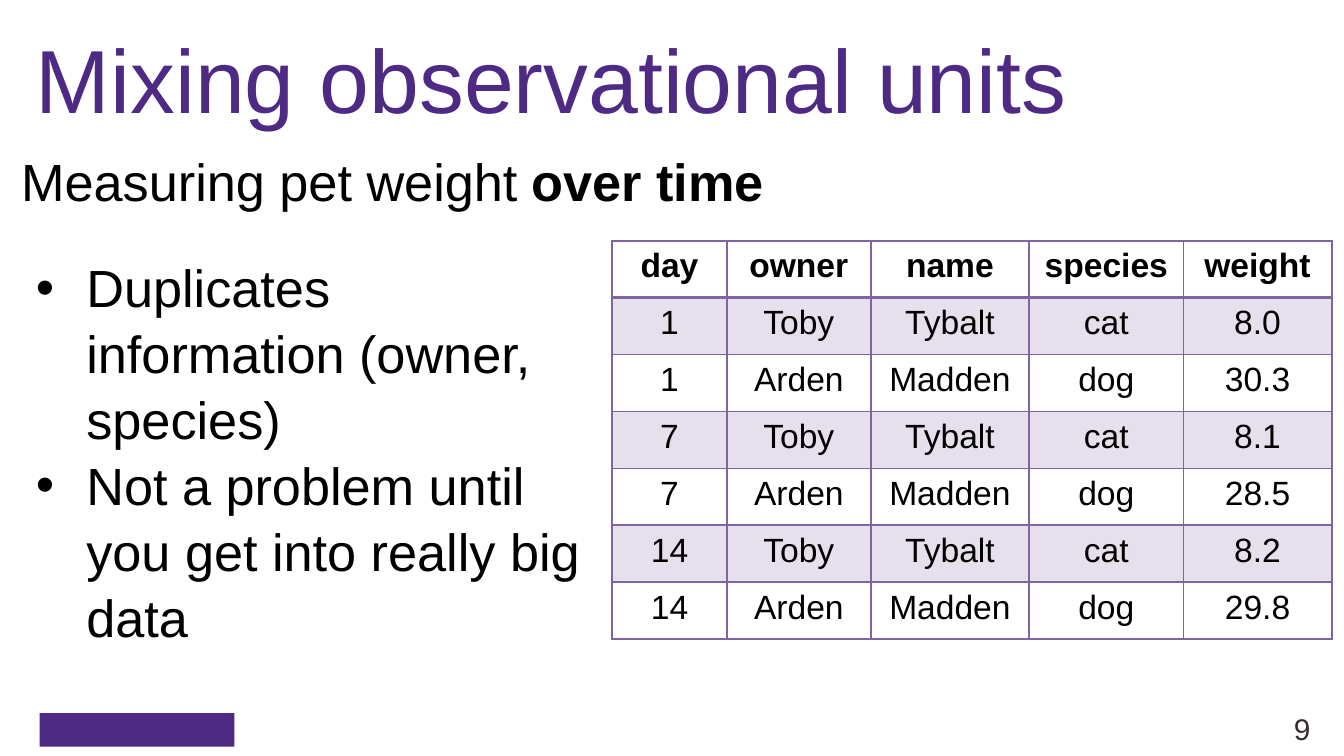
import dataclasses

import pptx
import pptx.dml.color
import pptx.enum.shapes
import pptx.enum.text
import pptx.util
from lxml import etree
from pptx.oxml.ns import qn

Pt = pptx.util.Pt
Align = pptx.enum.text.PP_ALIGN
Anchor = pptx.enum.text.MSO_ANCHOR


@dataclasses.dataclass(frozen=True)
class Theme:
    font: str = "Arial"
    purple: str = "4E2A84"
    table: str = "8064A2"
    text: str = "000000"
    number: str = "342F2E"
    title_size: int = 48
    body_size: int = 28
    table_size: int = 18
    number_size: int = 16


theme = Theme()


def style_runs(paragraph, size, color, bold=False):
    for run in paragraph.runs:
        run.font.name = theme.font
        run.font.size = Pt(size)
        run.font.bold = bold
        run.font.color.rgb = pptx.dml.color.RGBColor.from_string(color)


def add_text(left, top, width, height, text, size, color, anchor=Anchor.TOP):
    box = slide.shapes.add_textbox(Pt(left), Pt(top), Pt(width), Pt(height))
    frame = box.text_frame
    frame.word_wrap = True
    frame.vertical_anchor = anchor
    frame.text = text
    for paragraph in frame.paragraphs:
        style_runs(paragraph, size, color)
    return frame


presentation = pptx.Presentation()
presentation.slide_width = Pt(720)
presentation.slide_height = Pt(405)
slide = presentation.slides.add_slide(presentation.slide_layouts[6])

# Footer
footer_bar = slide.shapes.add_shape(
    pptx.enum.shapes.MSO_SHAPE.RECTANGLE, Pt(21.2), Pt(382), Pt(104.4), Pt(18))
footer_bar.shadow.inherit = False
footer_bar.fill.solid()
footer_bar.fill.fore_color.rgb = pptx.dml.color.RGBColor.from_string(theme.purple)
footer_bar.line.fill.background()
page_number = add_text(646.5, 376, 62.6, 28.8, "9", theme.number_size,
                       theme.number, Anchor.MIDDLE)
page_number.paragraphs[0].alignment = Align.RIGHT

# Title and subtitle
add_text(12.2, -3.6, 696, 90, "Mixing observational units", theme.title_size,
         theme.purple, Anchor.MIDDLE)
subtitle = add_text(4.3, 75, 715.7, 41, "Measuring pet weight ",
                    theme.body_size, theme.text).paragraphs[0]
subtitle.line_spacing = 1.05
subtitle.add_run().text = "over time"
style_runs(subtitle, theme.body_size, theme.text)
subtitle.runs[-1].font.bold = True

# Bullets
bullets = add_text(
    12.2, 131.8, 309.6, 244.8,
    "Duplicates information (owner, species)\n"
    "Not a problem until you get into really big data",
    theme.body_size, theme.text)
for paragraph in bullets.paragraphs:
    paragraph.line_spacing = 1.05
    properties = paragraph._p.get_or_add_pPr()
    properties.set("marL", str(Pt(27)))
    properties.set("indent", str(Pt(-27)))
    etree.SubElement(properties, qn("a:buFont")).set("typeface", theme.font)
    etree.SubElement(properties, qn("a:buChar")).set("char", "•")

# Pet weight table
rows = [
    ("day", "owner", "name", "species", "weight"),
    ("1", "Toby", "Tybalt", "cat", "8.0"),
    ("1", "Arden", "Madden", "dog", "30.3"),
    ("7", "Toby", "Tybalt", "cat", "8.1"),
    ("7", "Arden", "Madden", "dog", "28.5"),
    ("14", "Toby", "Tybalt", "cat", "8.2"),
    ("14", "Arden", "Madden", "dog", "29.8"),
]
column_widths = [61.5, 77.1, 84.9, 82.6, 79.5]
row_height = 30.5
table = slide.shapes.add_table(
    len(rows), len(column_widths), Pt(327.9), Pt(129), Pt(sum(column_widths)),
    Pt(row_height * len(rows))).table
table.horz_banding = False
table.first_row = False
for column, width in zip(table.columns, column_widths):
    column.width = Pt(width)

for row_index, values in enumerate(rows):
    table.rows[row_index].height = Pt(row_height)
    is_header = row_index == 0
    for column_index, value in enumerate(values):
        cell = table.cell(row_index, column_index)
        cell.text = value
        paragraph = cell.text_frame.paragraphs[0]
        paragraph.alignment = Align.CENTER
        style_runs(paragraph, theme.table_size, theme.text, is_header)

        cell_properties = cell._tc.get_or_add_tcPr()
        for side in ("L", "R", "T", "B"):
            below_header = (row_index, side) in ((0, "B"), (1, "T"))
            border = etree.SubElement(cell_properties, qn(f"a:ln{side}"))
            border.set("w", str(Pt(2 if below_header else 1)))
            border_fill = etree.SubElement(border, qn("a:solidFill"))
            etree.SubElement(border_fill, qn("a:srgbClr")).set("val", theme.table)

        if row_index % 2:
            cell.fill.solid()
            cell.fill.fore_color.rgb = pptx.dml.color.RGBColor.from_string(theme.table)
            fill_color = cell_properties.find(f"{qn('a:solidFill')}/{qn('a:srgbClr')}")
            etree.SubElement(fill_color, qn("a:alpha")).set("val", "20000")
        else:
            cell.fill.background()

presentation.save("out.pptx")
